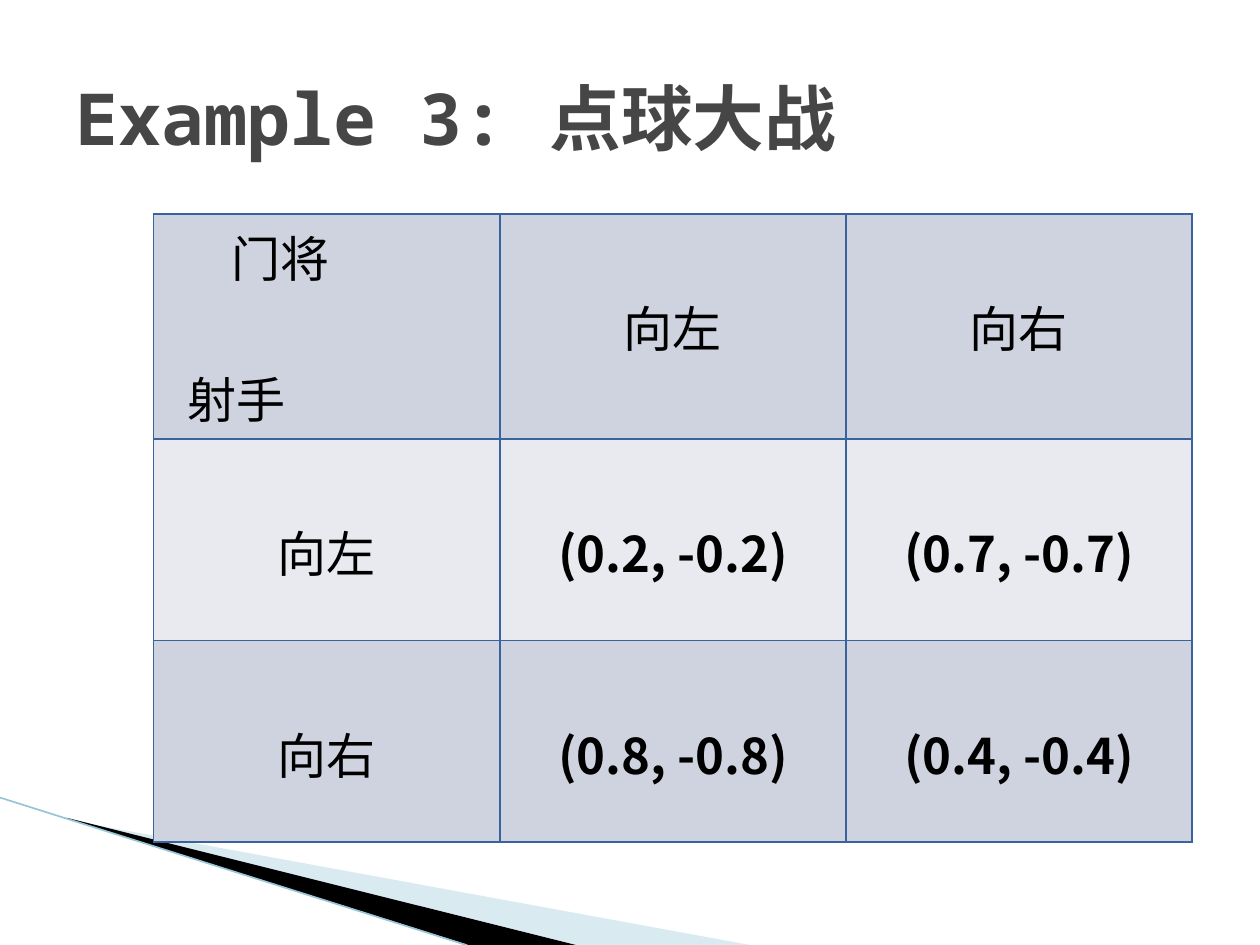
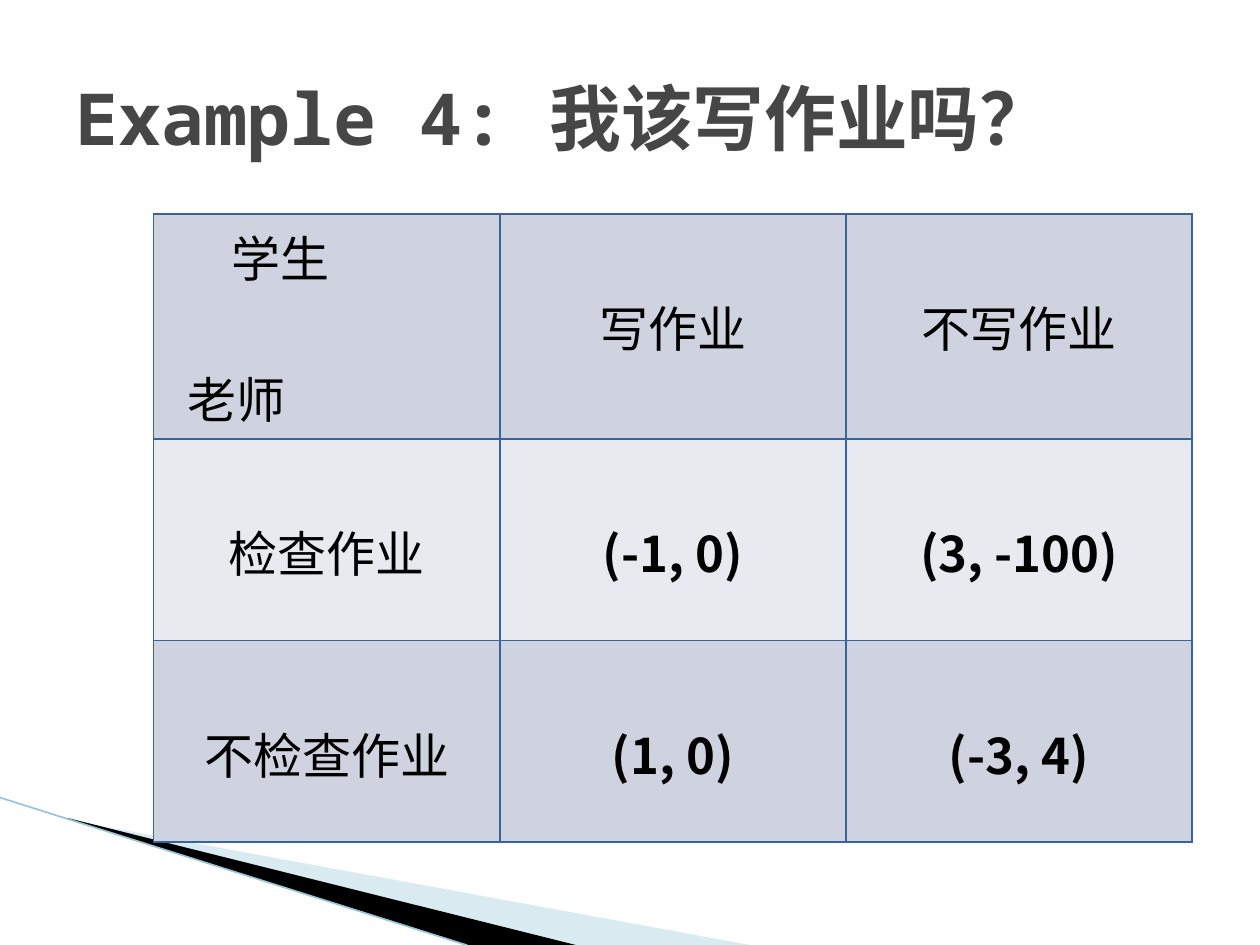
from dataclasses import dataclass

from lxml import etree
from pptx import Presentation, util as u
from pptx.dml.color import RGBColor
from pptx.enum import text
from pptx.oxml.ns import qn

GAMES = [
    {
        "title": "Example 3: 点球大战",
        "corner": ("门将", "射手"),
        "heads": ("向左", "向右"),
        "rows": [
            ("向左", "(0.2, -0.2)", "(0.7, -0.7)"),
            ("向右", "(0.8, -0.8)", "(0.4, -0.4)"),
        ],
    },
    {
        "title": "Example 4: 我该写作业吗？",
        "corner": ("学生", "老师"),
        "heads": ("写作业", "不写作业"),
        "rows": [
            ("检查作业", "(-1, 0)", "(3, -100)"),
            ("不检查作业", "(1, 0)", "(-3, 4)"),
        ],
    },
]


@dataclass(frozen=True)
class Theme:
    title: str = "464646"
    ink: str = "000000"
    bands: tuple = ("CED3DF", "E8EAEF")
    rule: str = "39639D"
    pale: str = "A0CBDC"
    edge: str = "97C5D8"
    mono: str = "Noto Sans Mono"
    sans: str = "Noto Sans CJK SC"
    big: int = 41
    body: int = 28


T = Theme()
WIDE, HIGH = 10, 7.5
LEFT, TOP = 1.22, 1.7
COL = 8.24 / 3
HEAD, ROW = 1.78, 1.6
PAD = 0.05
LINE = 0.56
INDENTS = (0.52, 0.17)
WEDGES = [
    ([(0.55, 6.51), (5.95, HIGH), (4.56, HIGH), (0.55, 6.5)], T.pale, 40),
    ([(0.53, 6.49), (4.57, HIGH), (3.72, HIGH), (0.54, 6.5)], T.ink, 100),
]


def rgb(code):
    return RGBColor.from_string(code)


def style(par, size, color, face, bold=False):
    font = par.font
    font.size, font.bold, font.name = u.Pt(size), bold, face
    font.color.rgb = rgb(color)
    props = par._p.pPr.find(qn("a:defRPr"))
    east = etree.Element(qn("a:ea"), typeface=T.sans)
    props.find(qn("a:latin")).addnext(east)


def wedge(slide, points, color, alpha):
    spots = [(u.Inches(x), u.Inches(y)) for x, y in points]
    pen = slide.shapes.build_freeform(*spots[0])
    pen.add_line_segments(spots[1:], close=True)
    shape = pen.convert_to_shape()
    shape.shadow.inherit = False
    shape.line.fill.background()
    shape.fill.solid()
    shape.fill.fore_color.rgb = rgb(color)
    if alpha < 100:
        tint = shape.fill._xPr.find(".//" + qn("a:srgbClr"))
        etree.SubElement(tint, qn("a:alpha"), val=str(alpha * 1000))


def decor(slide):
    for points, color, alpha in WEDGES:
        wedge(slide, points, color, alpha)
    line = slide.shapes.add_connector(
        1, 0, u.Inches(6.33), u.Inches(3.7), u.Inches(HIGH))
    line.line.color.rgb = rgb(T.edge)
    line.line.width = u.Pt(0.95)
    etree.SubElement(line._element.spPr, qn("a:effectLst"))


def frame(cell):
    props = cell._tc.get_or_add_tcPr()
    for spot, side in enumerate(("lnL", "lnR", "lnT", "lnB")):
        line = etree.Element(qn("a:" + side), w=str(u.Pt(1)))
        fill = etree.SubElement(line, qn("a:solidFill"))
        etree.SubElement(fill, qn("a:srgbClr"), val=T.rule)
        props.insert(spot, line)


def corner(cell, words):
    cell.margin_top = u.Inches(PAD)
    cell.text = "\n".join(words)
    for par, dent in zip(cell.text_frame.paragraphs, INDENTS):
        par._p.get_or_add_pPr().set("marL", str(u.Inches(dent)))
        style(par, T.body, T.ink, T.sans)
    par.space_before = u.Inches(LINE)


def label(cell, words, bold):
    cell.margin_top = u.Inches(PAD + LINE)
    cell.text = words
    par = cell.text_frame.paragraphs[0]
    par.alignment = text.PP_ALIGN.CENTER
    style(par, T.body, T.ink, T.sans, bold)


def matrix(slide, game):
    rows = [(game["corner"], *game["heads"]), *game["rows"]]
    high = HEAD + ROW * len(game["rows"])
    grid = slide.shapes.add_table(
        len(rows), len(rows[0]), u.Inches(LEFT), u.Inches(TOP),
        u.Inches(COL * len(rows[0])), u.Inches(high)).table
    grid.first_row = grid.horz_banding = False
    for r, row in enumerate(rows):
        grid.rows[r].height = u.Inches(ROW if r else HEAD)
        for c, words in enumerate(row):
            cell = grid.cell(r, c)
            cell.fill.solid()
            cell.fill.fore_color.rgb = rgb(T.bands[r % 2])
            frame(cell)
            if r == c == 0:
                corner(cell, words)
            else:
                label(cell, words, r > 0 and c > 0)


def heading(slide, words):
    box = slide.shapes.add_textbox(
        u.Inches(0.5), u.Inches(0.3), u.Inches(WIDE - 1), u.Inches(1.25))
    body = box.text_frame
    body.word_wrap = True
    body.vertical_anchor = text.MSO_ANCHOR.MIDDLE
    body.text = words
    style(body.paragraphs[0], T.big, T.title, T.mono, True)


def main():
    deck = Presentation()
    deck.slide_width, deck.slide_height = u.Inches(WIDE), u.Inches(HIGH)
    for game in GAMES:
        slide = deck.slides.add_slide(deck.slide_layouts[6])
        decor(slide)
        matrix(slide, game)
        heading(slide, game["title"])
    deck.save("out.pptx")


if __name__ == "__main__":
    main()
